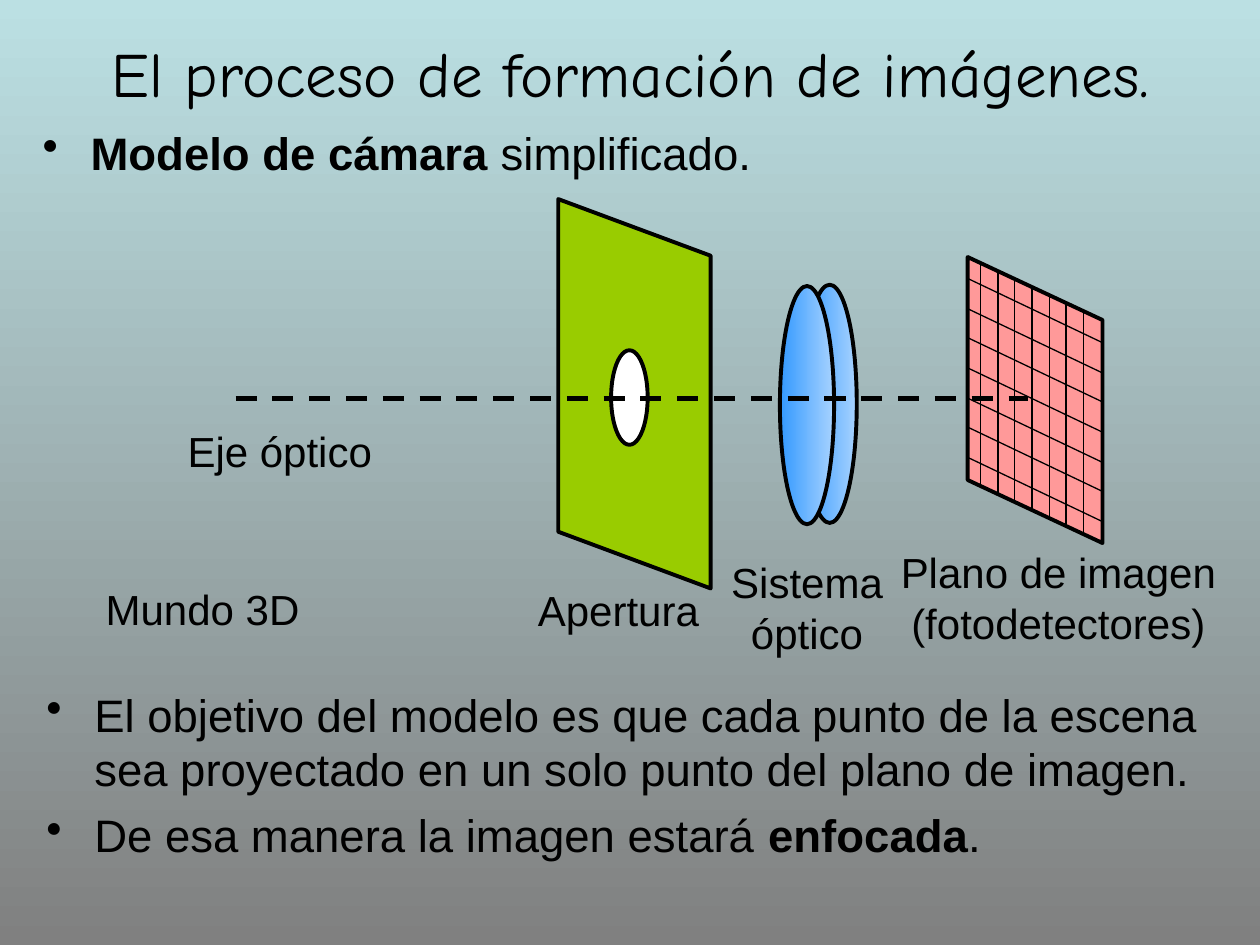
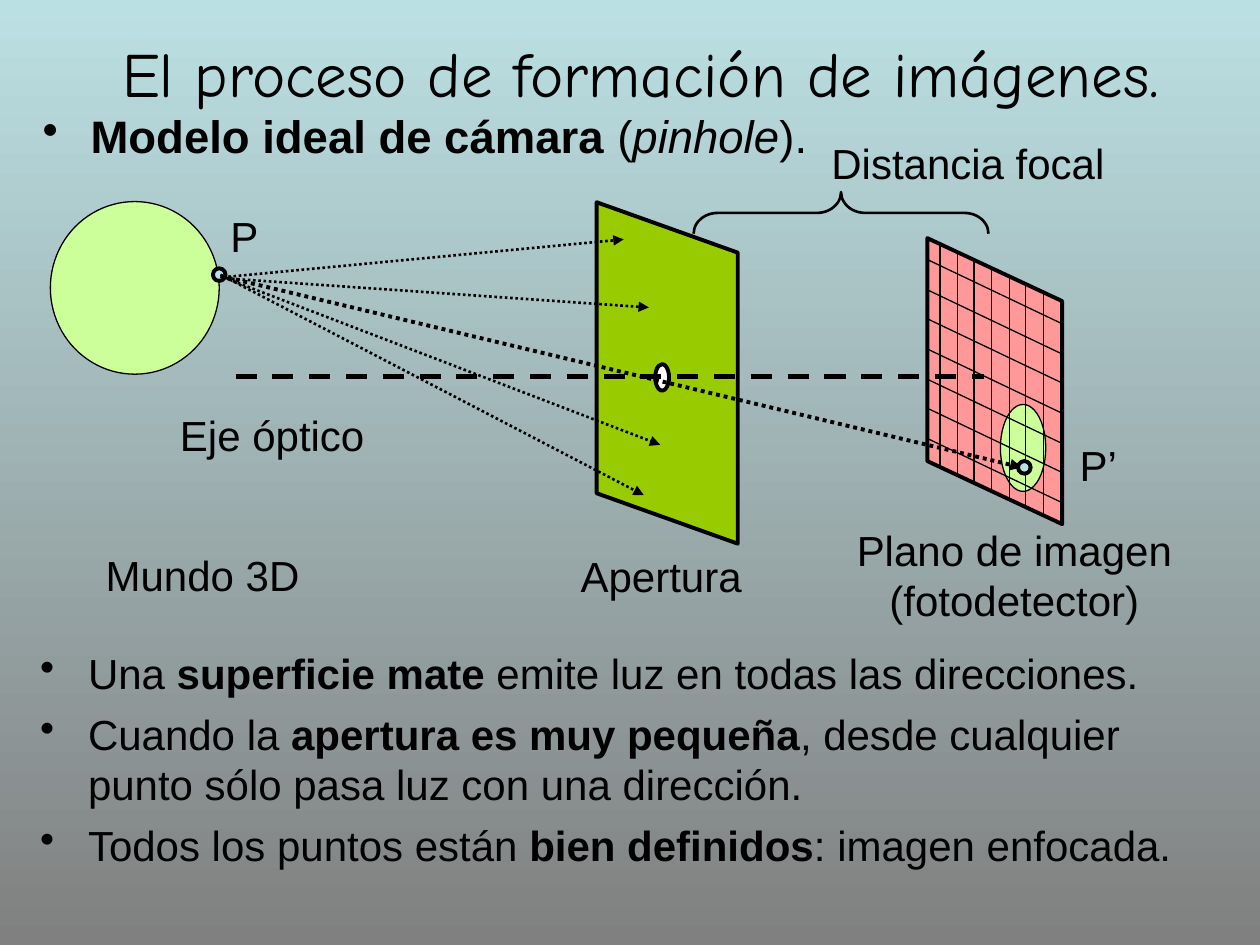
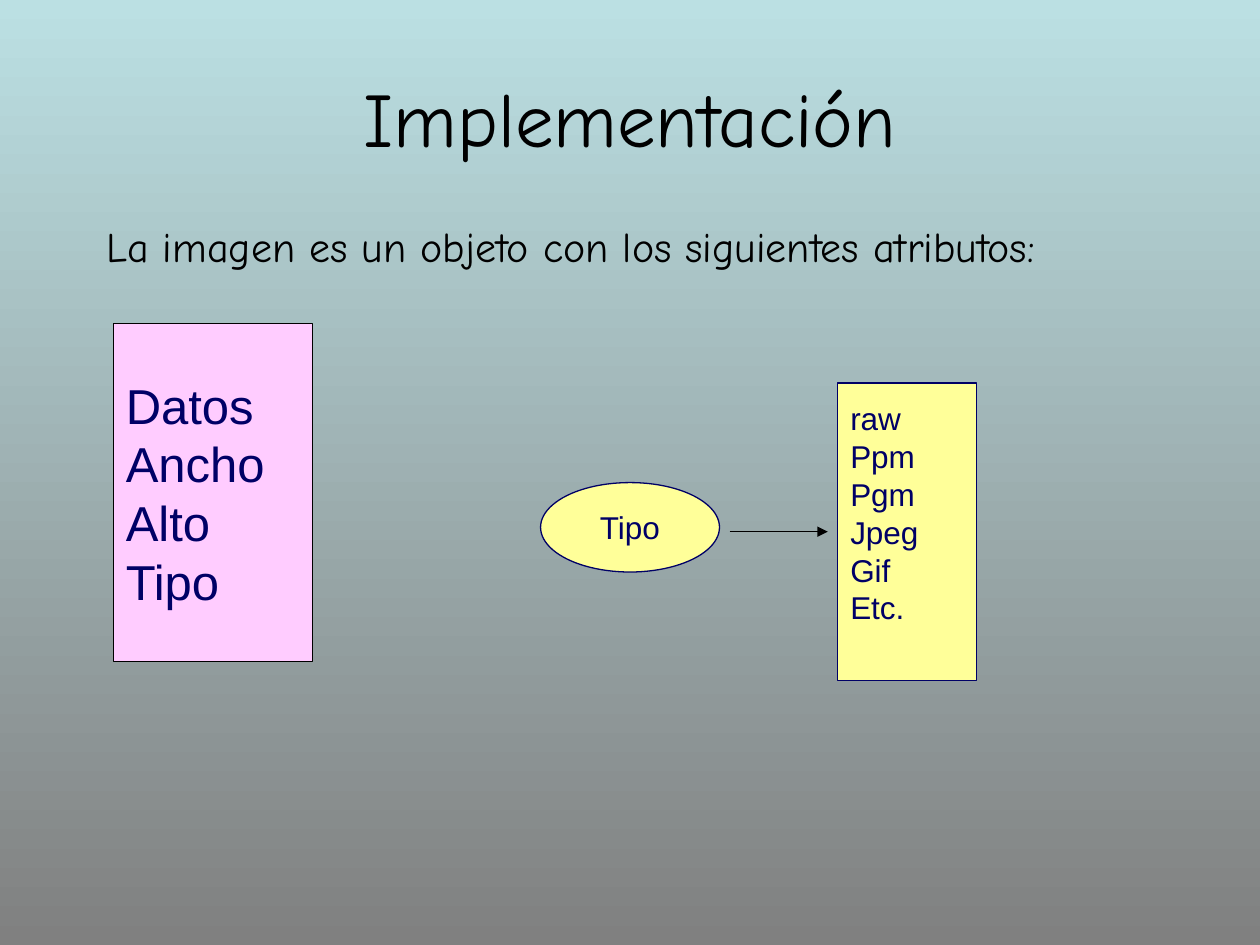
from dataclasses import dataclass
from typing import NamedTuple, Optional, Sequence

from lxml import etree
from pptx import Presentation, dml, util as u
from pptx.dml import color, fill
from pptx.enum import dml as line_styles, shapes, text
from pptx.oxml import ns
from pptx.shapes import autoshape, connector, shapetree
from pptx.slide import Slide

EMU_PER_PX = 9144
KIND = shapes.MSO_SHAPE
DASH = line_styles.MSO_LINE
ALIGN = text.PP_ALIGN
ANCHOR = text.MSO_ANCHOR
Canvas = shapetree.SlideShapes | shapetree.GroupShapes


@dataclass(frozen=True)
class Theme:
    body_font: str = "Arial"
    hand_font: str = "Comic Neue"
    ink: str = "000000"
    navy: str = "000066"
    sky: str = "BBE0E3"
    gray: str = "808080"
    white: str = "FFFFFF"
    aperture: str = "99CC00"
    sensor: str = "FF9999"
    object: str = "CCFF99"
    pink: str = "FFCCFF"
    yellow: str = "FFFF99"
    lens: tuple[str, str] = ("3399FF", "A8D3FF")
    heading: int = 44
    title: int = 36
    attribute: int = 28
    bullet: int = 26
    label: int = 24
    small: int = 18
    hairline: float = 0.75
    ray: float = 1.5
    outline: float = 2.25
    axis: float = 3


T = Theme()


class Box(NamedTuple):
    x: int
    y: int
    w: int
    h: int


class Run(NamedTuple):
    text: str
    bold: bool = False
    italic: bool = False


class Style(NamedTuple):
    size: int
    font: str = T.body_font
    color: str = T.ink
    align: ALIGN = ALIGN.LEFT
    anchor: ANCHOR = ANCHOR.TOP
    bulleted: bool = False
    gap: float = 0
    grow: bool = False
    bottom: int = 5


class Label(NamedTuple):
    text: str
    box: Box
    align: ALIGN = ALIGN.LEFT
    font: str = T.body_font


class Panel(NamedTuple):
    box: Box
    drop: int
    color: str


class Line(NamedTuple):
    x1: int
    y1: int
    x2: int
    y2: int
    width: float = T.hairline
    dash: Optional[DASH] = None
    arrow: bool = False


Paragraphs = Sequence[Sequence[Run]]


def px(n: float) -> u.Emu:
    return u.Emu(round(n * EMU_PER_PX))


def rgb(value: str) -> color.RGBColor:
    return color.RGBColor.from_string(value)


def paint_gradient(target: fill.FillFormat, ends: tuple[str, str], angle: int) -> None:
    target.gradient()
    target.gradient_angle = angle
    for stop, value in zip(target.gradient_stops, ends):
        stop.color.rgb = rgb(value)


def add_bullet(p: text) -> None:
    pPr = p._p.get_or_add_pPr()
    pPr.set("marL", str(px(38)))
    pPr.set("indent", str(px(-38)))
    bu_color = etree.SubElement(pPr, ns.qn("a:buClr"))
    etree.SubElement(bu_color, ns.qn("a:srgbClr")).set("val", T.ink)
    etree.SubElement(pPr, ns.qn("a:buChar")).set("char", "•")


def write(sp: autoshape.Shape, paragraphs: Paragraphs, style: Style) -> None:
    tf = sp.text_frame
    tf.word_wrap = True
    tf.auto_size = text.MSO_AUTO_SIZE.SHAPE_TO_FIT_TEXT if style.grow else text.MSO_AUTO_SIZE.NONE
    tf.vertical_anchor = style.anchor
    tf.margin_left = tf.margin_right = px(10)
    tf.margin_top, tf.margin_bottom = px(5), px(style.bottom)
    for i, runs in enumerate(paragraphs):
        p = tf.add_paragraph() if i else tf.paragraphs[0]
        if style.bulleted:
            add_bullet(p)
        p.alignment = style.align
        if i and style.gap:
            p.space_before = u.Pt(style.gap)
        for run in runs:
            r = p.add_run()
            r.text = run.text
            r.font.name = style.font
            r.font.size = u.Pt(style.size)
            r.font.bold = run.bold
            r.font.italic = run.italic
            r.font.color.rgb = rgb(style.color)


def add_text(canvas: Canvas, box: Box, paragraphs: Paragraphs, style: Style) -> None:
    write(canvas.add_textbox(*map(px, box)), paragraphs, style)


def add_title(canvas: Canvas, title: str, box: Box, size: int = T.title) -> None:
    style = Style(size, T.hand_font, align=ALIGN.CENTER, anchor=ANCHOR.MIDDLE)
    add_text(canvas, box, [[Run(title)]], style)


def add_bullets(canvas: Canvas, box: Box, paragraphs: Paragraphs, size: int = T.bullet) -> None:
    add_text(canvas, box, paragraphs, Style(size, bulleted=True, gap=size / 4))


def add_labels(canvas: Canvas, labels: Sequence[Label]) -> None:
    for label in labels:
        style = Style(T.label, label.font, align=label.align, grow=True)
        add_text(canvas, label.box, [[Run(label.text)]], style)


def add_figure(canvas: Canvas, kind: KIND, box: Box, paint: str | tuple[str, str] | None,
               width: float = T.outline, line: str = T.ink) -> autoshape.Shape:
    sp = canvas.add_shape(kind, *map(px, box))
    sp.shadow.inherit = False
    if paint is None:
        sp.fill.background()
    elif isinstance(paint, tuple):
        paint_gradient(sp.fill, paint, 0)
    else:
        sp.fill.solid()
        sp.fill.fore_color.rgb = rgb(paint)
    sp.line.color.rgb = rgb(line)
    sp.line.width = u.Pt(width)
    return sp


def quarter_turn(box: Box) -> Box:
    return Box(box.x + (box.w - box.h) // 2, box.y + (box.h - box.w) // 2, box.h, box.w)


def add_panel(canvas: Canvas, panel: Panel) -> None:
    sp = add_figure(canvas, KIND.PARALLELOGRAM, quarter_turn(panel.box), panel.color)
    sp.rotation = 90
    sp.adjustments[0] = panel.drop / panel.box.w


def add_line(canvas: Canvas, line: Line) -> connector.Connector:
    ends = map(px, (line.x1, line.y1, line.x2, line.y2))
    cx = canvas.add_connector(shapes.MSO_CONNECTOR.STRAIGHT, *ends)
    cx.line.color.rgb = rgb(T.ink)
    cx.line.width = u.Pt(line.width)
    if line.dash is not None:
        cx.line.dash_style = line.dash
    if line.arrow:
        ln = cx.line._get_or_add_ln()
        etree.SubElement(ln, ns.qn("a:tailEnd")).set("type", "triangle")
    etree.SubElement(cx._element.spPr, ns.qn("a:effectLst"))
    return cx


def add_grid(canvas: Canvas, panel: Panel, count: int = 7) -> None:
    x, y, w, h = panel.box
    for i in range(count):
        dx = round(10 + i * 82 / (count - 1))
        top = y + 1 + round(dx * panel.drop / w)
        add_line(canvas, Line(x + dx, top, x + dx, top + h - panel.drop - 2))
    for i in range(count):
        left = y + 17 + round(i * 142 / (count - 1))
        add_line(canvas, Line(x, left, x + w, left + panel.drop + 1))


def camera_slide(s: Slide) -> None:
    canvas = s.shapes
    add_title(canvas, "El proceso de formación de imágenes.", Box(20, 0, 961, 115))
    add_bullets(canvas, Box(24, 94, 951, 68),
                [[Run("Modelo de cámara", bold=True), Run(" simplificado.")]])
    add_panel(canvas, Panel(Box(443, 158, 121, 309), 45, T.aperture))
    add_figure(canvas, KIND.OVAL, Box(485, 278, 29, 75), T.white)
    lenses = canvas.add_group_shape().shapes
    for box in (Box(637, 226, 43, 189), Box(619, 227, 43, 189)):
        add_figure(lenses, KIND.OVAL, box, T.lens)
    sensor = Panel(Box(768, 204, 107, 227), 50, T.sensor)
    plane = canvas.add_group_shape().shapes
    add_panel(plane, sensor)
    add_grid(plane, sensor)
    add_bullets(canvas, Box(27, 540, 951, 161), [
        [Run("El objetivo del modelo es que cada punto de la escena sea proyectado "
             "en un solo punto del plano de imagen.")],
        [Run("De esa manera la imagen estará "), Run("enfocada", bold=True), Run(".")],
    ])
    add_line(canvas, Line(187, 316, 816, 316, T.axis, DASH.DASH))
    add_labels(canvas, [
        Label("Eje óptico", Box(139, 333, 185, 50)),
        Label("Apertura", Box(417, 459, 165, 50)),
        Label("Sistema óptico", Box(548, 437, 185, 90), ALIGN.CENTER),
        Label("Plano de imagen (fotodetectores)", Box(702, 429, 276, 90), ALIGN.CENTER),
        Label("Mundo 3D", Box(74, 458, 176, 50)),
    ])


def pinhole_slide(s: Slide) -> None:
    canvas = s.shapes
    sensor = Panel(Box(736, 189, 107, 227), 50, T.sensor)
    add_panel(canvas, sensor)
    for box in (Box(794, 321, 36, 69), Box(40, 160, 134, 137)):
        add_figure(canvas, KIND.OVAL, box, T.object, T.hairline)
    add_title(canvas, "El proceso de formación de imágenes.", Box(28, 0, 961, 115))
    add_bullets(canvas, Box(24, 81, 951, 68), [
        [Run("Modelo ideal de cámara", bold=True), Run(" ("),
         Run("pinhole", italic=True), Run(").")]])
    add_panel(canvas, Panel(Box(474, 161, 112, 271), 40, T.aperture))
    add_figure(canvas, KIND.OVAL, Box(520, 289, 11, 21), T.white)
    add_bullets(canvas, Box(22, 509, 952, 199), [
        [Run("Una "), Run("superficie mate", bold=True),
         Run(" emite luz en todas las direcciones.")],
        [Run("Cuando la "), Run("apertura es muy pequeña", bold=True),
         Run(", desde cualquier punto sólo pasa luz con una dirección.")],
        [Run("Todos los puntos están "), Run("bien definidos", bold=True),
         Run(": imagen enfocada.")],
    ], T.label)
    add_line(canvas, Line(187, 299, 781, 299, T.axis, DASH.DASH))
    add_labels(canvas, [
        Label("Eje óptico", Box(133, 320, 185, 50)),
        Label("Apertura", Box(451, 432, 165, 50)),
        Label("Plano de imagen (fotodetector)", Box(664, 411, 282, 90), ALIGN.CENTER),
        Label("P", Box(173, 162, 39, 50)),
        Label("P’", Box(847, 344, 57, 50)),
        Label("Distancia focal", Box(650, 104, 294, 50)),
        Label("Mundo 3D", Box(74, 431, 176, 50)),
    ])
    add_figure(canvas, KIND.OVAL, Box(169, 213, 10, 10), T.sky)
    add_line(canvas, Line(175, 219, 811, 371, T.outline, DASH.ROUND_DOT, True))
    brace = add_figure(canvas, KIND.LEFT_BRACE, Box(651, 52, 33, 234), None, T.ray)
    brace.rotation = 90
    brace.adjustments[0] = 0.58
    add_grid(canvas.add_group_shape().shapes, sensor)
    add_figure(canvas, KIND.OVAL, Box(808, 366, 10, 10), T.sky)
    for ends in ((180, 221, 515, 244), (177, 220, 524, 353),
                 (177, 220, 495, 190), (175, 218, 511, 393)):
        add_line(canvas, Line(*ends, T.ray, DASH.ROUND_DOT, True))


def implementation_slide(s: Slide) -> None:
    canvas = s.shapes
    add_title(canvas, "Implementación", Box(50, 30, 900, 125), T.heading)
    add_labels(canvas, [Label("La imagen es un objeto con los siguientes atributos:",
                              Box(75, 170, 835, 50), font=T.hand_font)])
    attributes = add_figure(canvas, KIND.RECTANGLE, Box(90, 257, 158, 268), T.pink, T.hairline)
    write(attributes, [[Run(name)] for name in ("Datos", "Ancho", "Alto", "Tipo")],
          Style(T.attribute, color=T.navy, anchor=ANCHOR.MIDDLE))
    kind = add_figure(canvas, KIND.OVAL, Box(429, 383, 142, 71), T.yellow, T.hairline, T.navy)
    write(kind, [[Run("Tipo")]],
          Style(T.small, color=T.navy, align=ALIGN.CENTER, anchor=ANCHOR.MIDDLE))
    add_line(canvas, Line(579, 422, 657, 422, arrow=True))
    formats = add_figure(canvas, KIND.RECTANGLE, Box(665, 304, 110, 236),
                         T.yellow, T.hairline, T.navy)
    write(formats, [[Run(name)] for name in ("raw", "Ppm", "Pgm", "Jpeg", "Gif", "Etc.")],
          Style(T.small, color=T.navy, anchor=ANCHOR.MIDDLE, bottom=35))


def main() -> None:
    prs = Presentation()
    prs.slide_width, prs.slide_height = px(1000), px(750)
    paint_gradient(prs.slide_master.background.fill, (T.sky, T.gray), 270)
    for build in (camera_slide, pinhole_slide, implementation_slide):
        build(prs.slides.add_slide(prs.slide_layouts[6]))
    prs.save("out.pptx")


if __name__ == "__main__":
    main()
